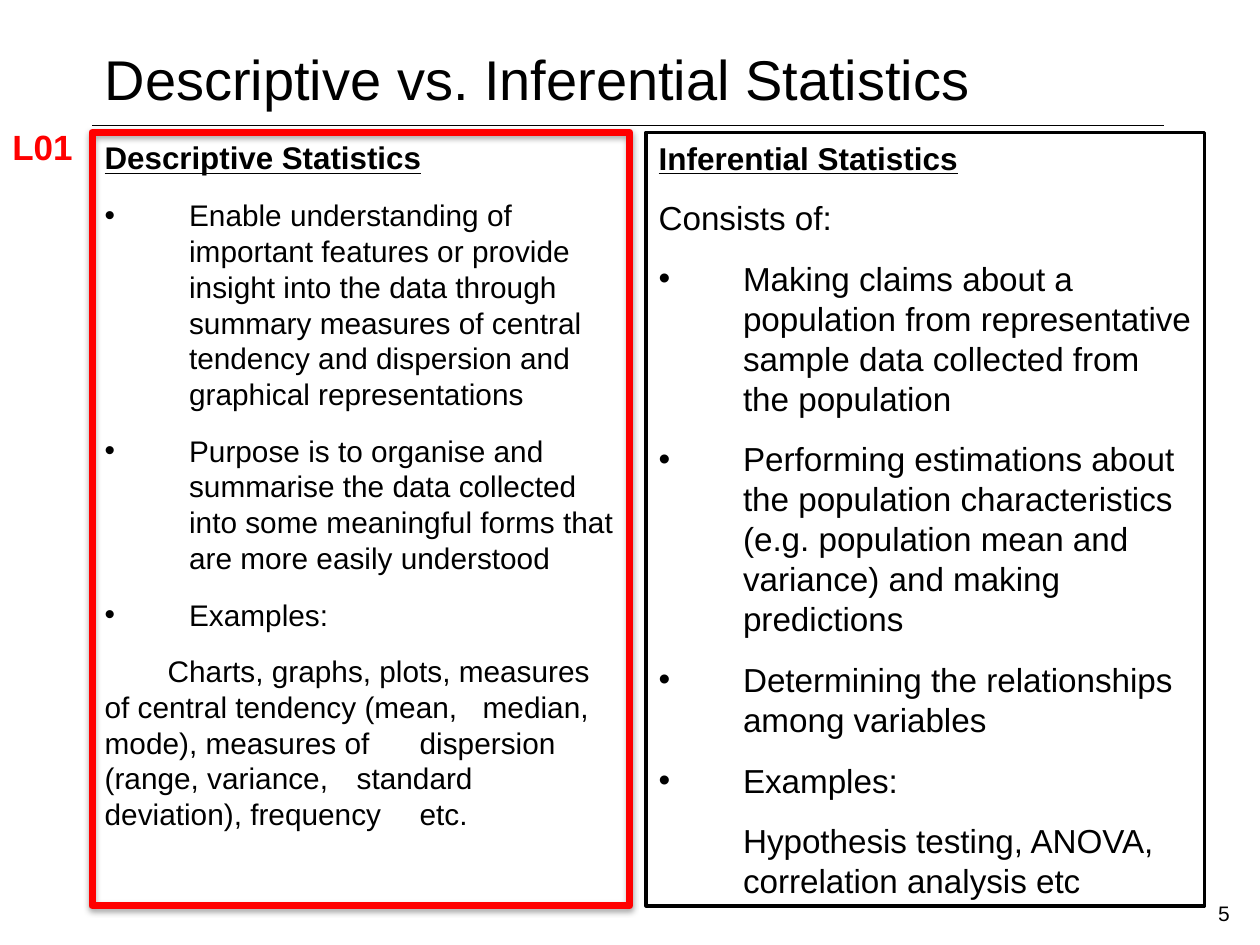
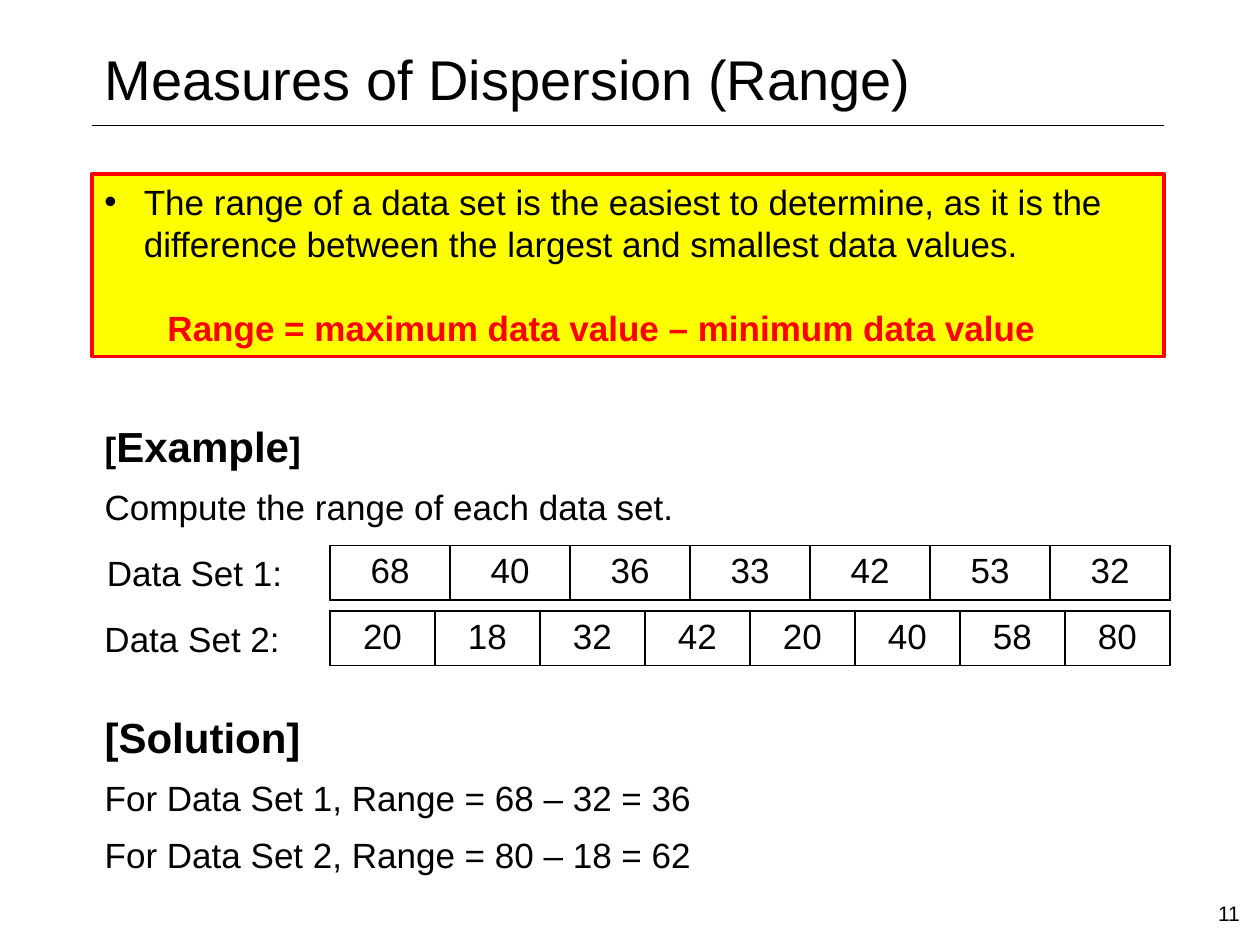
from dataclasses import dataclass

from lxml import etree
from pptx import Presentation
from pptx.dml.color import RGBColor
from pptx.enum import shapes, text
from pptx.oxml.ns import qn
from pptx.util import Pt

FONT = "Arial"
BLACK, WHITE, RED, YELLOW = "000000", "FFFFFF", "FF0000", "FFFF00"
LEFT, CONTENT_W = 52.6, 612.7
PANEL_TOP, PANEL_H = 75.6, 442
HANG = 48.24
TAB_STOPS = [49.2 * n for n in range(1, 6)]


@dataclass
class Box:
    x: float
    y: float
    w: float
    h: float

    def lengths(self):
        return Pt(self.x), Pt(self.y), Pt(self.w), Pt(self.h)


@dataclass
class DataSet:
    label: str
    label_x: float
    y: float
    values: list[int]


DATA_SETS = [
    DataSet("Data Set 1:", 54, 311.8, [68, 40, 36, 33, 42, 53, 32]),
    DataSet("Data Set 2:", 52.6, 349.2, [20, 18, 32, 42, 20, 40, 58, 80]),
]


def rgb(color: str) -> RGBColor:
    return RGBColor.from_string(color)


def sub(parent, tag: str, **attrs):
    return etree.SubElement(parent, qn(tag), {k: str(v) for k, v in attrs.items()})


def add_run(p, words: str, size=20.0, color=BLACK, bold=False, underline=False):
    r = p.add_run()
    r.text = words
    f = r.font
    f.name, f.size, f.bold, f.underline = FONT, Pt(size), bold, underline
    f.color.rgb = rgb(color)


def add_par(tf, words="", before=0.0, spacing=1.0, align=text.PP_ALIGN.LEFT,
            margin=0.0, bullet=False, tabs=(), **font):
    """Fill the first empty paragraph of tf, or add one; bullets hang by margin."""
    p = tf.paragraphs[0]
    if p.runs:
        p = tf.add_paragraph()
    p.alignment, p.space_before, p.line_spacing = align, Pt(before), spacing
    pPr = p._p.get_or_add_pPr()
    pPr.set("marL", str(Pt(margin)))
    pPr.set("indent", str(-Pt(margin) if bullet else 0))
    if bullet:
        sub(pPr, "a:buFont", typeface=FONT)
        sub(pPr, "a:buChar", char="•")
    else:
        sub(pPr, "a:buNone")
    if tabs:
        tab_list = sub(pPr, "a:tabLst")
        for stop in tabs:
            sub(tab_list, "a:tab", pos=Pt(stop), algn="l")
    if words:
        add_run(p, words, **font)
    return p


def prepare_frame(sp, anchor=text.MSO_ANCHOR.TOP):
    tf = sp.text_frame
    tf.word_wrap, tf.auto_size = True, text.MSO_AUTO_SIZE.NONE
    tf.vertical_anchor = anchor
    return tf


def place(sp, box: Box):
    sp.left, sp.top, sp.width, sp.height = box.lengths()


def paint(sp, fill=None, line=BLACK, width=2.0):
    if fill:
        sp.fill.solid()
        sp.fill.fore_color.rgb = rgb(fill)
    else:
        sp.fill.background()
    sp.line.color.rgb = rgb(line)
    sp.line.width = Pt(width)


def add_rect(slide, box: Box, **look):
    sp = slide.shapes.add_shape(shapes.MSO_SHAPE.RECTANGLE, *box.lengths())
    sp.shadow.inherit = False
    paint(sp, **look)
    return sp


def add_label(slide, box: Box, words: str, **font):
    sp = slide.shapes.add_textbox(*box.lengths())
    add_par(prepare_frame(sp), words, **font)


def add_slide(prs, title: str, number: int):
    """Add a slide with title, rule and page number; return it and its body."""
    slide = prs.slides.add_slide(prs.slide_layouts[1])
    rule = slide.shapes.add_connector(
        shapes.MSO_CONNECTOR.STRAIGHT, Pt(LEFT), Pt(71.3), Pt(LEFT + CONTENT_W), Pt(71.3))
    rule.line.color.rgb = rgb(BLACK)
    rule.line.width = Pt(0.25)
    sub(rule._element.spPr, "a:effectLst")
    heading, body = slide.placeholders
    place(heading, Box(LEFT, 20.9, 577, 47.5))
    add_par(prepare_frame(heading, text.MSO_ANCHOR.MIDDLE), title, size=32)
    add_label(slide, Box(689, 511.2, 31, 28.8), str(number), size=12)
    return slide, body


def add_soft_shadow(sp):
    effects = sp._element.spPr.find(qn("a:effectLst"))
    shadow = sub(effects, "a:outerShdw", blurRad=Pt(3.1), dist=Pt(1.8),
                 dir=90 * 60000, rotWithShape=0)
    sub(sub(shadow, "a:srgbClr", val=BLACK), "a:alpha", val=35000)


def add_bullets(tf, items: list[str], size: float):
    for item in items:
        add_par(tf, item, before=12, margin=HANG, bullet=True, size=size)


def add_value_row(slide, y: float, values: list[int]):
    box = Box(188.6, y, 480, 31)
    table = slide.shapes.add_table(1, len(values), *box.lengths()).table
    table.first_row = table.horz_banding = False
    for col, cell, value in zip(table.columns, table.rows[0].cells, values):
        col.width = Pt(box.w / len(values))
        add_par(cell.text_frame, str(value), align=text.PP_ALIGN.CENTER)
        tcPr = cell._tc.get_or_add_tcPr()
        for side in "LRTB":
            ln = sub(tcPr, f"a:ln{side}", w=Pt(1))
            sub(sub(ln, "a:solidFill"), "a:srgbClr", val=BLACK)
        cell.fill.background()


def build_comparison(prs):
    slide, body = add_slide(prs, "Descriptive vs. Inferential Statistics", 5)
    descriptive = Box(LEFT, PANEL_TOP, 307.4, PANEL_H)
    place(body, descriptive)
    paint(body, fill=WHITE)
    tf = prepare_frame(body)
    add_par(tf, "Descriptive Statistics", before=12, size=17.9, bold=True, underline=True)
    add_bullets(tf, [
        "Enable understanding of important features or provide insight into the data "
        "through summary measures of central tendency and dispersion and graphical "
        "representations",
        "Purpose is to organise and summarise the data collected into some meaningful "
        "forms that are more easily understood",
        "Examples:",
    ], size=17)
    add_par(tf, "\tCharts, graphs, plots, measures \tof central tendency (mean, \tmedian, "
            "mode), measures of \tdispersion (range, variance, \tstandard deviation), "
            "frequency \tetc.", before=12, tabs=TAB_STOPS, size=17)

    inferential = Box(369.3, PANEL_TOP, 319, PANEL_H)
    tf = prepare_frame(add_rect(slide, inferential, fill=WHITE))
    add_par(tf, "Inferential Statistics", before=12, size=18, bold=True, underline=True)
    add_par(tf, "Consists of:", before=12, size=19)
    add_bullets(tf, [
        "Making claims about a population from representative sample data collected "
        "from the population",
        "Performing estimations about the population characteristics (e.g. population "
        "mean and variance) and making predictions",
        "Determining the relationships among variables",
        "Examples:",
    ], size=19)
    add_par(tf, "Hypothesis testing, ANOVA, correlation analysis etc",
            before=12, margin=HANG, size=19)

    add_soft_shadow(add_rect(slide, descriptive, line=RED, width=4))
    add_label(slide, Box(0, 68.4, 57.6, 31.7), "L01", color=RED, bold=True)


def build_range(prs):
    slide, body = add_slide(prs, "Measures of Dispersion (Range)", 11)
    place(body, Box(LEFT, 234, CONTENT_W, 306))
    tf = prepare_frame(body)
    loose = dict(before=6, spacing=1.1)
    p = add_par(tf, **loose)
    for words, size in [("[", 20), ("Example", 24), ("]", 20)]:
        add_run(p, words, size=size, bold=True)
    add_par(tf, "Compute the range of each data set.", **loose)
    add_par(tf, "[Solution]", before=102, spacing=1.1, size=24, bold=True)
    add_par(tf, "For Data Set 1, Range = 68 – 32 = 36", **loose)
    add_par(tf, "For Data Set 2, Range = 80 – 18 = 62", **loose)

    definition = add_rect(slide, Box(LEFT, 99.4, CONTENT_W, 104.4), fill=YELLOW, line=RED)
    tf = prepare_frame(definition)
    add_par(tf, "The range of a data set is the easiest to determine, as it is the "
            "difference between the largest and smallest data values.",
            margin=22.5, bullet=True)
    add_par(tf, "Range = maximum data value – minimum data value",
            before=24, margin=36, color=RED, bold=True)

    for data in DATA_SETS:
        add_label(slide, Box(data.label_x, data.y, 129, 31.7), data.label)
        add_value_row(slide, data.y, data.values)


def main():
    prs = Presentation()
    prs.slide_width, prs.slide_height = Pt(720), Pt(540)
    build_comparison(prs)
    build_range(prs)
    prs.save("out.pptx")


if __name__ == "__main__":
    main()
